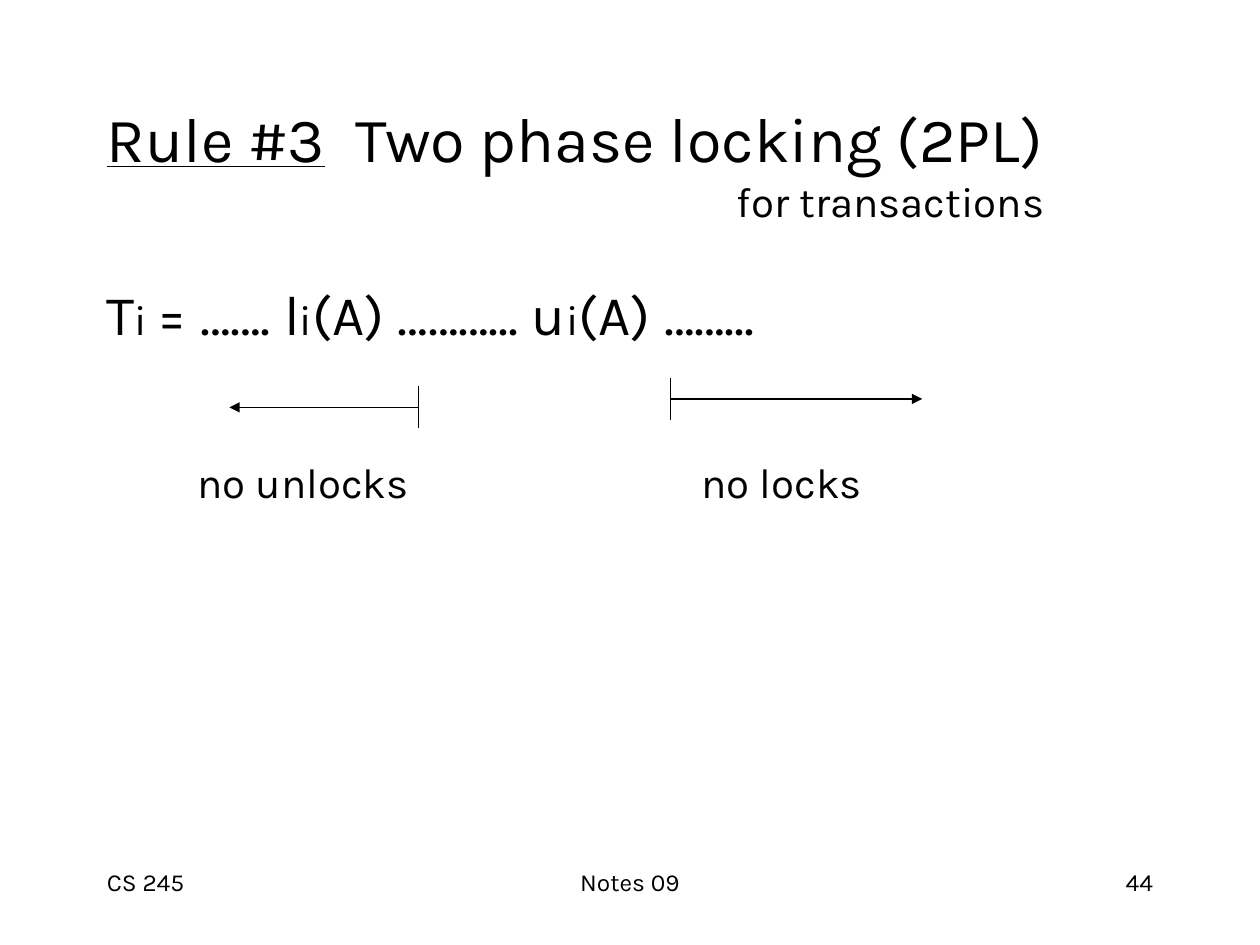
from lxml import etree
from pptx import Presentation
from pptx.dml.color import RGBColor
from pptx.enum.shapes import MSO_CONNECTOR
from pptx.enum.text import MSO_ANCHOR, PP_ALIGN
from pptx.oxml.ns import qn
from pptx.util import Inches, Pt

BLACK = RGBColor(0, 0, 0)
WHITE = RGBColor(255, 255, 255)
FONT_NAME = "Karla"
STRAIGHT = MSO_CONNECTOR.STRAIGHT
TOP, MIDDLE = MSO_ANCHOR.TOP, MSO_ANCHOR.MIDDLE
LEFT, CENTER, RIGHT = PP_ALIGN.LEFT, PP_ALIGN.CENTER, PP_ALIGN.RIGHT
CELL = Inches(1) // 12
BLANK_LAYOUT = 6


def grid(*cells):
    return [round(cell * CELL) for cell in cells]


def add_text(page, place, spans, align=LEFT, anchor=TOP, tab=None):
    box = page.shapes.add_textbox(*grid(*place))
    frame = box.text_frame
    frame.word_wrap = True
    frame.vertical_anchor = anchor
    para = frame.paragraphs[0]
    para.alignment = align
    if tab:
        stops = etree.SubElement(para._p.get_or_add_pPr(), qn("a:tabLst"))
        etree.SubElement(stops, qn("a:tab"), pos=str(Inches(tab)), algn="l")
    for text, size, underline in spans:
        if text == "\n":
            para.add_line_break()
            continue
        span = para.add_run()
        span.text = text
        span.font.color.rgb = BLACK
        style = {"name": FONT_NAME, "size": Pt(size), "underline": underline}
        for key, value in style.items():
            setattr(span.font, key, value)


def add_line(page, start, end, arrow=False):
    line = page.shapes.add_connector(STRAIGHT, *grid(*start, *end))
    line.line.color.rgb = BLACK
    line.line.width = Pt(0.75)
    if arrow:
        etree.SubElement(line.line._get_or_add_ln(), qn("a:tailEnd"), type="triangle")
    etree.SubElement(line._element.spPr, qn("a:effectLst"))


def add_phase(page, column, middle, reach):
    add_line(page, (column, middle), (column + reach, middle), arrow=True)
    add_line(page, (column, middle - 2), (column, middle + 2))


def add_footer(page):
    for text, column, width, align in (
        ("CS 245", 9, 25, LEFT),
        ("Notes 09", 41, 38, CENTER),
        ("44", 86, 25, RIGHT),
    ):
        add_text(page, (column, 82, width, 6), [(text, 14, False)], align)


def main():
    deck = Presentation()
    deck.slide_width, deck.slide_height = Inches(10), Inches(7.5)
    page = deck.slides.add_slide(deck.slide_layouts[BLANK_LAYOUT])
    page.background.fill.solid()
    page.background.fill.fore_color.rgb = WHITE

    add_footer(page)
    title = [
        ("Rule #3", 36, True),
        ("  Two phase locking (2PL)", 36, False),
        ("\n", 36, False),
        ("\tfor transactions", 24, False),
    ]
    add_text(page, (9, 8, 102, 15), title, anchor=MIDDLE, tab=5)

    schedule = ["T", "i ", "= ……. l", "i", "(A) ………... u", "i", "(A) ……..."]
    spans = [(text, (32, 24)[order % 2], False) for order, text in enumerate(schedule)]
    add_text(page, (9, 26, 102, 54), spans)

    add_phase(page, 39.84, 38.8, -18)
    add_phase(page, 63.84, 38, 24)
    labels = [("no unlocks\tno locks", 24, False)]
    add_text(page, (17.64, 42.84, 66, 6), labels, anchor=MIDDLE, tab=4)

    deck.save("out.pptx")


if __name__ == "__main__":
    main()
